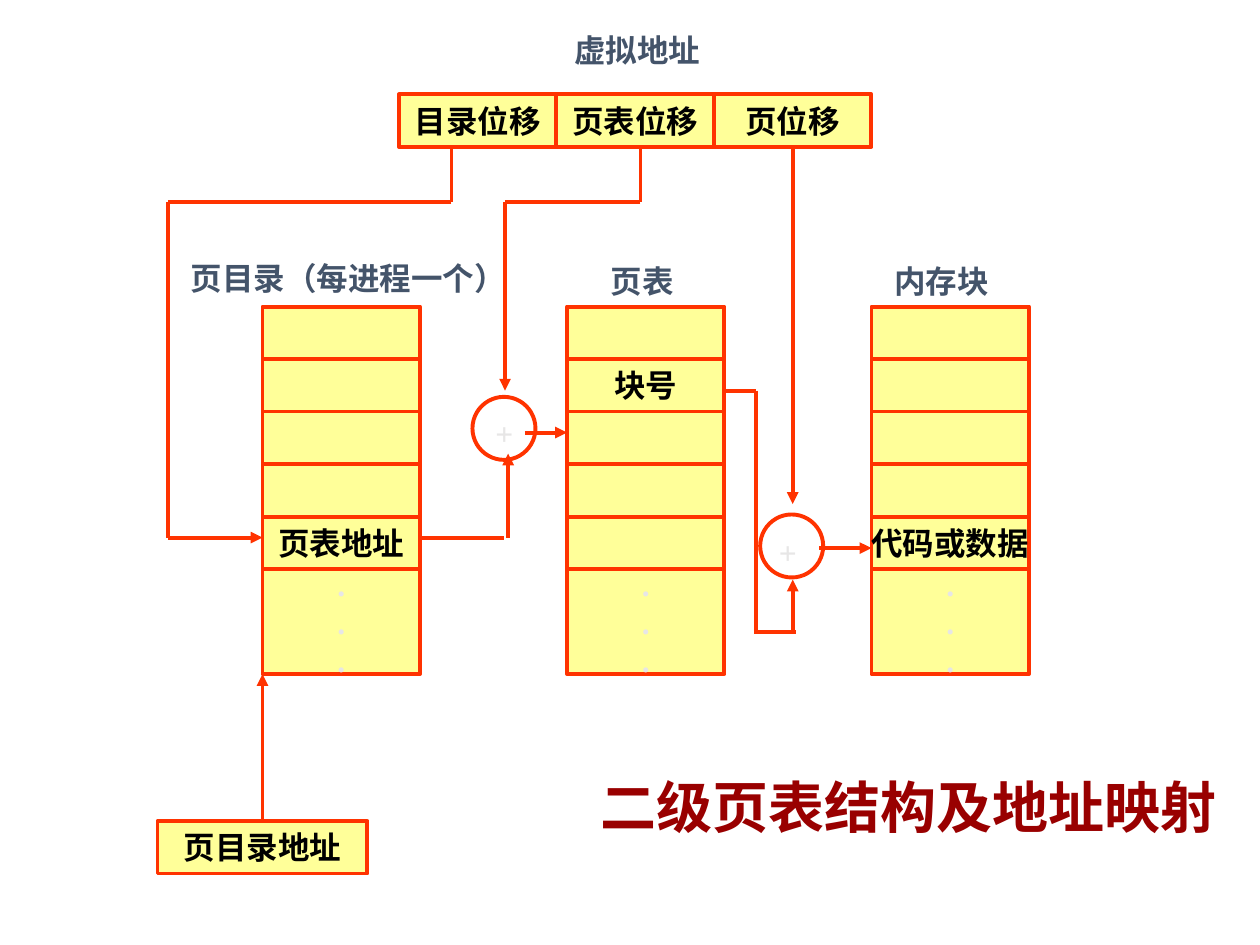
"""Build the slide on two-level page tables and address mapping."""
from dataclasses import dataclass
from typing import Optional

from lxml.etree import SubElement
from pptx import Presentation
from pptx.dml.color import RGBColor
from pptx.enum.shapes import MSO_CONNECTOR, MSO_SHAPE
from pptx.enum.text import MSO_ANCHOR, MSO_AUTO_SIZE, PP_ALIGN
from pptx.oxml.ns import qn
from pptx.util import Inches, Pt

COLORS = {"line": "FF3300", "cell": "FFFF99", "ink": "000000",
          "label": "44546A", "faint": "E7E6E6", "title": "990000"}
FONT = "Times New Roman"
SLIDE_W, SLIDE_H = Inches(10), Inches(7.5)
GRID_COLS, GRID_ROWS = 120, 90
CELL_W, CELL_H = 15, 5
TABLE_TOP, TABLE_CELLS = 29.2, 5
ADDRESS_LEFT, ADDRESS_TOP = 38, 9
TOP, BOTTOM = 0, 2


@dataclass(frozen=True)
class Label:
    text: str
    left: float
    top: float
    width: float
    color: str = "label"


@dataclass(frozen=True)
class Table:
    left: float
    entry_row: Optional[int] = None
    entry: str = ""


@dataclass(frozen=True)
class Route:
    points: tuple
    arrow: bool = True
    source: str = ""
    site: int = BOTTOM


LABELS = [
    Label("虚拟地址", 53.5, 2.4, 14.5),
    Label("页目录（每进程一个）", 17, 24.1, 32.6),
    Label("页表", 57, 24.4, 8.4),
    Label("内存块", 84, 24.4, 11.5),
    Label("+", 46, 38.8, 4, "faint"),
    Label("+", 73, 50.2, 4, "faint"),
]
TABLES = [Table(25, 4, "页表地址"), Table(54, 1, "块号"), Table(83, 4, "代码或数据")]
ADDRESS_FIELDS = ["目录位移", "页表位移", "页位移"]
ADDERS = [(45, 37.8), (72.4, 49)]
ROUTES = [
    Route(((43, 14), (43, 19.2), (16, 19.2), (16, 51.2), (25, 51.2))),
    Route(((25, 78.2), (25, 64.2)), source="页目录地址", site=TOP),
    Route(((40, 51.2), (48, 51.2)), arrow=False),
    Route(((48.4, 51.2), (48.4, 43.2))),
    Route(((61, 14), (61, 19.2), (48.1, 19.2), (48.1, 37.2))),
    Route(((50, 41.2), (54, 41.2))),
    Route(((78, 52.2), (83, 52.2))),
    Route(((69, 37.2), (72, 37.2), (72, 60.2)), arrow=False),
    Route(((71.8, 60.2), (75.8, 60.2)), arrow=False),
    Route(((75.5, 60.2), (75.5, 55.2))),
    Route(((75.5, 14), (75.5, 48)), source="页位移"),
]


def x(cols: float) -> int:
    """Return the length of a number of grid columns."""
    return round(SLIDE_W * cols / GRID_COLS)


def y(rows: float) -> int:
    """Return the length of a number of grid rows."""
    return round(SLIDE_H * rows / GRID_ROWS)


def rgb(name: str) -> RGBColor:
    """Return a named colour."""
    return RGBColor.from_string(COLORS[name])


def write(frame, text: str, color: str, size: int = 18, align=PP_ALIGN.CENTER) -> None:
    """Write bold text, one paragraph a line, without wrapping."""
    frame.text = text
    frame.word_wrap = False
    for paragraph in frame.paragraphs:
        paragraph.alignment = align
        paragraph.font.name = FONT
        paragraph.font.size = Pt(size)
        paragraph.font.bold = True
        paragraph.font.color.rgb = rgb(color)


def outline(shape) -> None:
    """Give a shape or connector the diagram's line."""
    shape.line.color.rgb = rgb("line")
    shape.line.width = Pt(2.25)


def add_cell(slide, left: float, top: float, width: float = CELL_W,
             height: float = CELL_H, text: str = "", color: str = "ink"):
    """Draw one filled box and return it."""
    cell = slide.shapes.add_shape(MSO_SHAPE.RECTANGLE, x(left), y(top), x(width), y(height))
    cell.shadow.inherit = False
    cell.fill.solid()
    cell.fill.fore_color.rgb = rgb("cell")
    outline(cell)
    if text:
        cell.text_frame.vertical_anchor = MSO_ANCHOR.MIDDLE
        write(cell.text_frame, text, color)
    return cell


def add_table_stack(slide, table: Table) -> None:
    """Draw a column of entries that ends in a taller box of dots."""
    for row in range(TABLE_CELLS):
        add_cell(slide, table.left, TABLE_TOP + row * CELL_H,
                 text=table.entry if row == table.entry_row else "")
    add_cell(slide, table.left, TABLE_TOP + TABLE_CELLS * CELL_H,
             height=2 * CELL_H, text=".\n.\n.", color="faint")


def add_label(slide, label: Label) -> None:
    """Draw a free-standing label."""
    box = slide.shapes.add_textbox(x(label.left), y(label.top), x(label.width), y(4.8))
    write(box.text_frame, label.text, label.color, align=PP_ALIGN.LEFT)
    box.text_frame.auto_size = MSO_AUTO_SIZE.SHAPE_TO_FIT_TEXT


def add_adder(slide, left: float, top: float) -> None:
    """Draw the ring around a plus sign."""
    ring = slide.shapes.add_shape(MSO_SHAPE.OVAL, x(left), y(top), x(6), y(6))
    ring.shadow.inherit = False
    ring.fill.background()
    outline(ring)


def add_route(slide, route: Route, boxes: dict) -> None:
    """Draw straight connectors through the points, with an arrowhead at the end."""
    for start, end in zip(route.points, route.points[1:]):
        segment = slide.shapes.add_connector(
            MSO_CONNECTOR.STRAIGHT, x(start[0]), y(start[1]), x(end[0]), y(end[1]))
        outline(segment)
        if route.arrow and end == route.points[-1]:
            SubElement(segment.line._get_or_add_ln(), qn("a:tailEnd"), type="triangle")
        SubElement(segment._element.spPr, qn("a:effectLst"))
        if route.source and start == route.points[0]:
            segment.begin_connect(boxes[route.source], route.site)


def add_title(slide) -> None:
    """Place and format the slide title."""
    title = slide.shapes.title
    title.left, title.top, title.width, title.height = x(56), y(73), x(61.6), y(7.6)
    title.text_frame.vertical_anchor = MSO_ANCHOR.TOP
    write(title.text_frame, "二级页表结构及地址映射", "title", 32, PP_ALIGN.LEFT)
    title.text_frame.auto_size = MSO_AUTO_SIZE.SHAPE_TO_FIT_TEXT


def main() -> None:
    """Build and save the slide."""
    deck = Presentation()
    deck.slide_width, deck.slide_height = SLIDE_W, SLIDE_H
    slide = deck.slides.add_slide(deck.slide_layouts[5])
    add_title(slide)
    boxes = {"页目录地址": add_cell(slide, 15, 78.2, width=20, text="页目录地址")}
    for index, field in enumerate(ADDRESS_FIELDS):
        boxes[field] = add_cell(slide, ADDRESS_LEFT + index * CELL_W, ADDRESS_TOP, text=field)
    for table in TABLES:
        add_table_stack(slide, table)
    for label in LABELS:
        add_label(slide, label)
    for route in ROUTES:
        add_route(slide, route, boxes)
    for left, top in ADDERS:
        add_adder(slide, left, top)
    deck.save("out.pptx")


if __name__ == "__main__":
    main()
